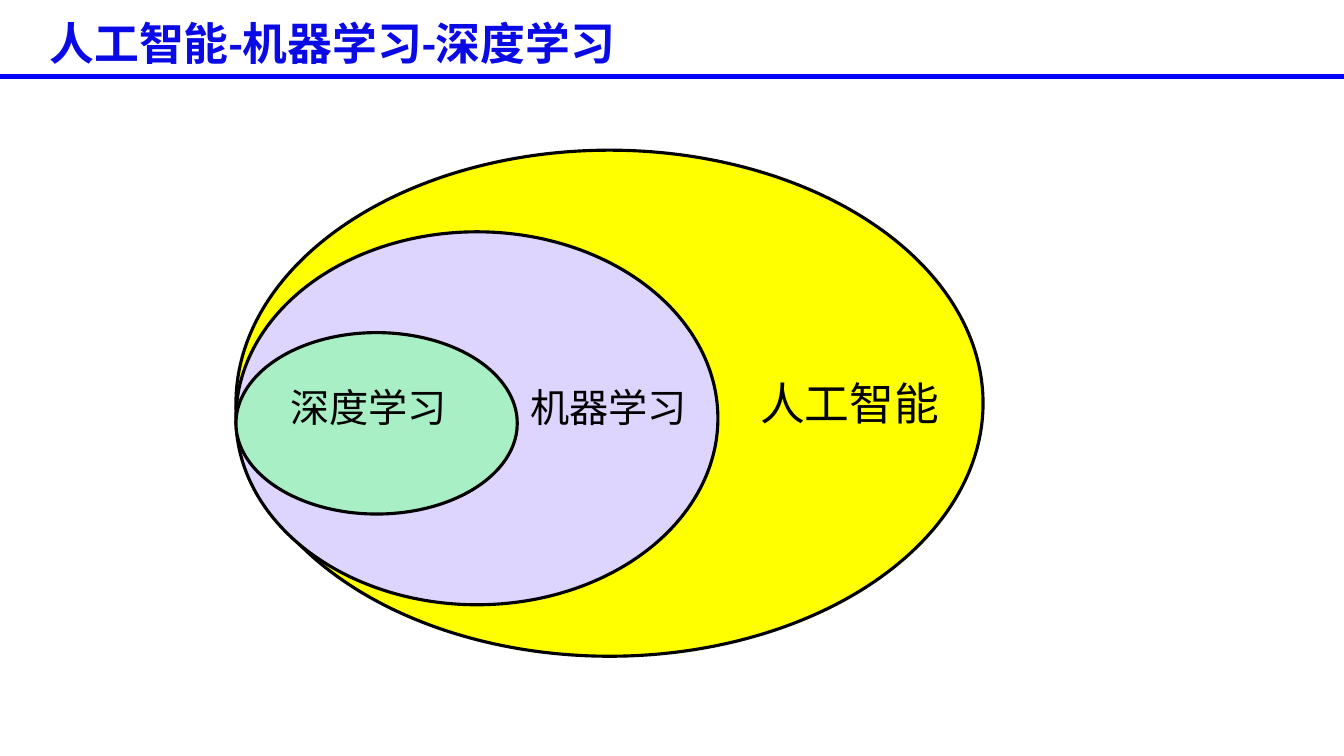
from pptx import Presentation
from pptx.dml.color import RGBColor
from pptx.enum.shapes import MSO_CONNECTOR, MSO_SHAPE
from pptx.enum.text import MSO_ANCHOR, MSO_AUTO_SIZE, PP_ALIGN
from pptx.oxml.ns import qn
from pptx.util import Inches, Pt
from lxml import etree

OVAL = MSO_SHAPE.OVAL
STRAIGHT = MSO_CONNECTOR.STRAIGHT
TOP = MSO_ANCHOR.TOP
LEFT = PP_ALIGN.LEFT
NO_FIT = MSO_AUTO_SIZE.NONE
GROW = MSO_AUTO_SIZE.SHAPE_TO_FIT_TEXT
CJK_FONT = "Noto Sans CJK SC"
TITLE_ONLY = 5


def colour(value):
    return RGBColor.from_string(value)


class SlideBuilder:
    """Holds the style and current slide, and adds each kind of element."""

    title_format = {"name": "Calibri", "size": Pt(32), "bold": True}
    title_colour = "0A0AE6"
    rule_colour = "0000FF"
    ink = "000000"

    def __init__(self, deck):
        self.slide = deck.slides.add_slide(deck.slide_layouts[TITLE_ONLY])

    def fill_text(self, frame, text, font_format, text_colour, fit, wrap):
        frame_format = {"word_wrap": wrap, "auto_size": fit, "vertical_anchor": TOP}
        for key, value in frame_format.items():
            setattr(frame, key, value)
        paragraph = frame.paragraphs[0]
        paragraph.alignment = LEFT
        run = paragraph.add_run()
        run.text = text
        for key, value in font_format.items():
            setattr(run.font, key, value)
        run.font.color.rgb = colour(text_colour)
        east_asian = etree.SubElement(run.font._element, qn("a:ea"))
        east_asian.set("typeface", CJK_FONT)

    def title(self, text, left, top, width, height):
        heading = self.slide.shapes.title
        box = {"left": left, "top": top, "width": width, "height": height}
        for key, value in box.items():
            setattr(heading, key, Inches(value))
        self.fill_text(heading.text_frame, text, self.title_format,
                       self.title_colour, NO_FIT, True)

    def ellipse(self, left, top, width, height, fill):
        field = self.slide.shapes.add_shape(
            OVAL, *map(Inches, (left, top, width, height)))
        field.shadow.inherit = False
        field.fill.solid()
        field.fill.fore_color.rgb = colour(fill)
        field.line.color.rgb = colour(self.ink)
        field.line.width = Pt(2.25)

    def label(self, text, left, top, width, height, size):
        caption = self.slide.shapes.add_textbox(
            *map(Inches, (left, top, width, height)))
        font_format = {"name": CJK_FONT, "size": Pt(size)}
        self.fill_text(caption.text_frame, text, font_format, self.ink, GROW, False)

    def rule(self, top, width):
        divider = self.slide.shapes.add_connector(
            STRAIGHT, *map(Inches, (0, top, width, top)))
        divider.line.color.rgb = colour(self.rule_colour)
        divider.line.width = Pt(4)
        etree.SubElement(divider._element.spPr, qn("a:effectLst"))


def main():
    deck = Presentation()
    deck.slide_width = Inches(13.33)
    deck.slide_height = Inches(7.5)
    builder = SlideBuilder(deck)
    builder.title("人工智能-机器学习-深度学习", 0.39, 0.11, 8.33, 0.64)

    shared_left = 2.34
    nested_fields = [
        (1.49, 7.41, 5.02, "FFFF00"),
        (2.3, 4.78, 3.7, "DED5FF"),
        (3.3, 2.79, 1.8, "A8EFC6"),
    ]
    for field in nested_fields:
        builder.ellipse(shared_left, *field)

    field_names = [
        ("人工智能", 7.44, 3.68, 2, 0.64, 32),
        ("机器学习", 5.16, 3.75, 1.77, 0.57, 28),
        ("深度学习", 2.78, 3.75, 1.77, 0.57, 28),
    ]
    for field_name in field_names:
        builder.label(*field_name)

    builder.rule(0.76, 13.33)
    deck.save("out.pptx")


if __name__ == "__main__":
    main()
